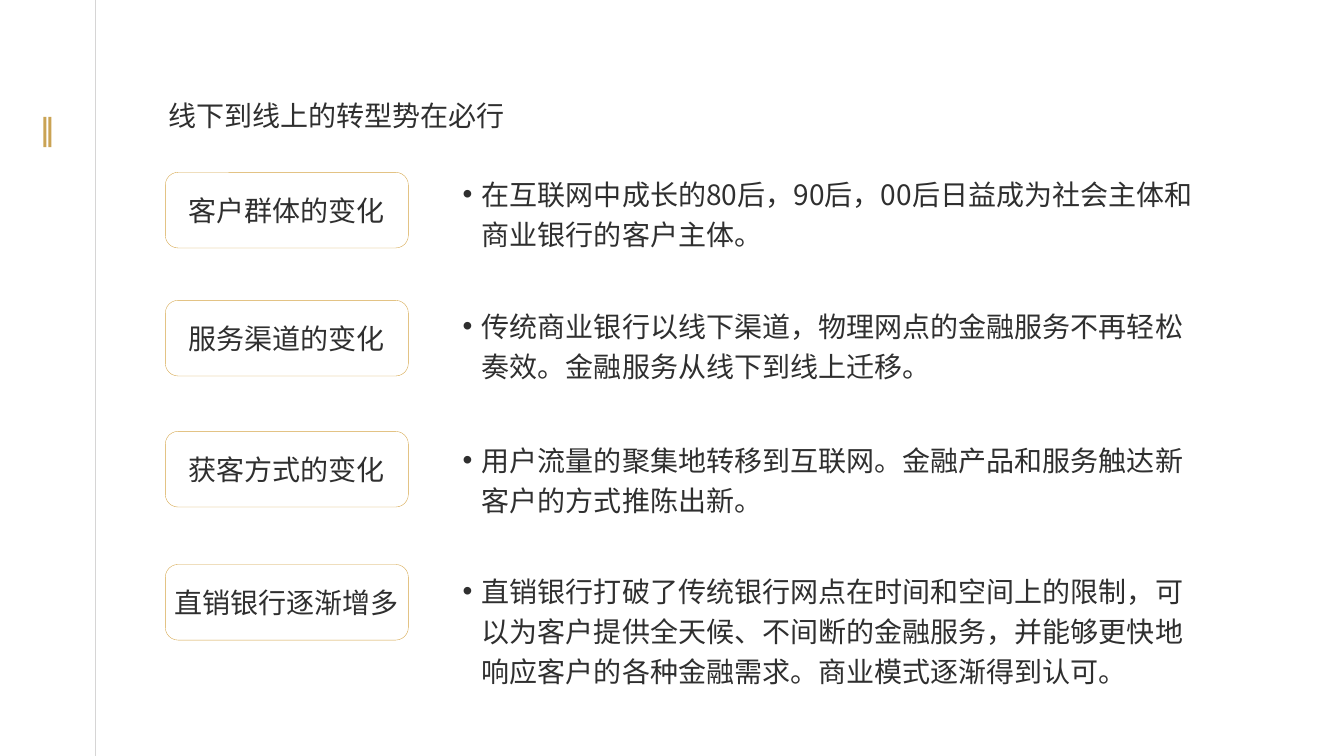
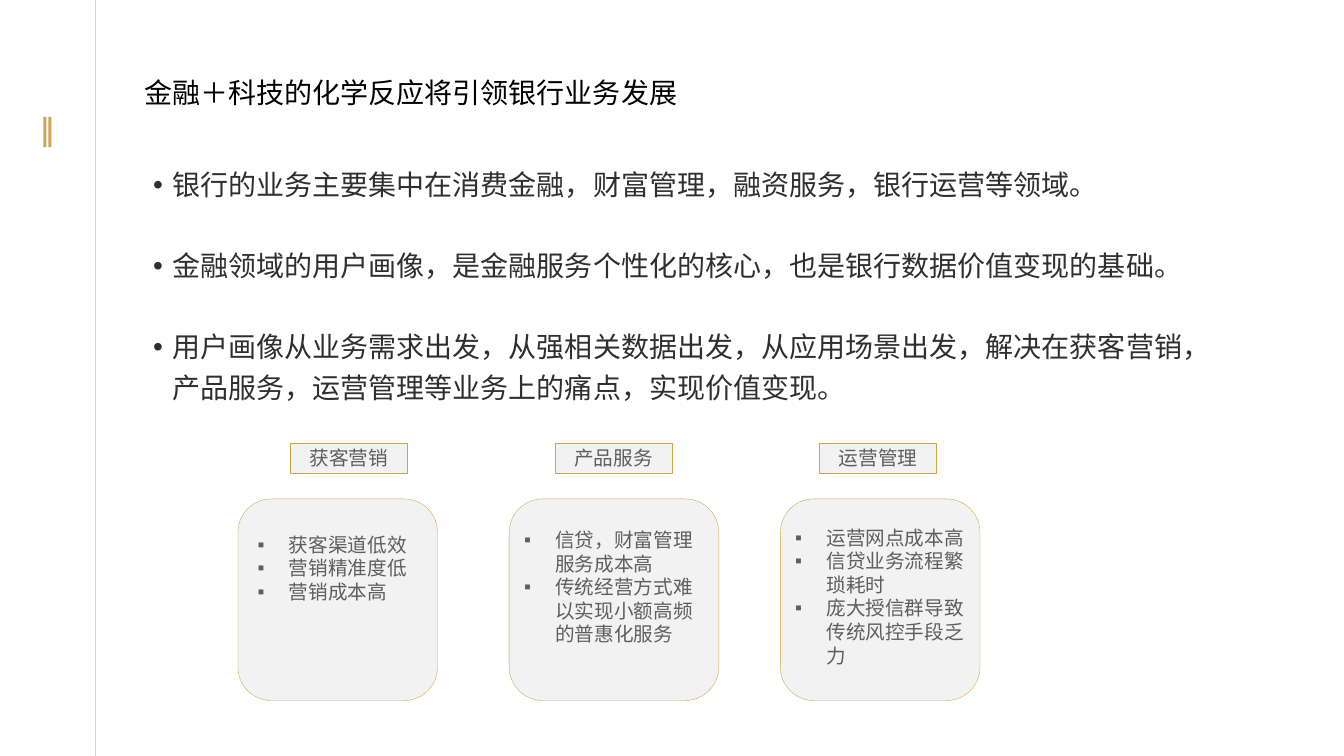
import pptx
import pptx.util
from lxml import etree
from pptx.dml.color import RGBColor
from pptx.enum.shapes import MSO_CONNECTOR, MSO_SHAPE
from pptx.enum.text import MSO_ANCHOR, PP_ALIGN
from pptx.oxml.ns import qn
from pptx.util import Inches, Pt

INK = RGBColor(0x2F, 0x2F, 0x2F)
BLACK = RGBColor(0x00, 0x00, 0x00)
GREY = RGBColor(0x5E, 0x5E, 0x5E)
RULE = RGBColor(0xD6, 0xD5, 0xD5)
BAR = RGBColor(0xCA, 0xA3, 0x54)
GOLD = RGBColor(0xD4, 0xA3, 0x44)
PALE = RGBColor(0xF2, 0xF2, 0xF2)

MAIN_FONT = "Noto Sans CJK SC"
TAG_FONT = "Arial"
CARD_FONT = "Montserrat"
TIGHT = (0.03, 0.03, 0.03, 0.03)
LOOSE = (0.1, 0.05, 0.1, 0.05)

# label, label top, explanation, explanation top
CHANGES = [
    ("客户群体的变化", 1.71,
     "在互联网中成长的80后，90后，00后日益成为社会主体和商业银行的客户主体。", 1.64),
    ("服务渠道的变化", 2.98,
     "传统商业银行以线下渠道，物理网点的金融服务不再轻松奏效。金融服务从线下到线上迁移。", 2.95),
    ("获客方式的变化", 4.28,
     "用户流量的聚集地转移到互联网。金融产品和服务触达新客户的方式推陈出新。", 4.28),
    ("直销银行逐渐增多", 5.6,
     "直销银行打破了传统银行网点在时间和空间上的限制，可以为客户提供全天候、不间断的金融服务，"
     "并能够更快地响应客户的各种金融需求。商业模式逐渐得到认可。", 5.58),
]

POINTS = [
    "银行的业务主要集中在消费金融，财富管理，融资服务，银行运营等领域。",
    "金融领域的用户画像，是金融服务个性化的核心，也是银行数据价值变现的基础。",
    "用户画像从业务需求出发，从强相关数据出发，从应用场景出发，解决在获客营销，产品服务，"
    "运营管理等业务上的痛点，实现价值变现。",
]

# tag, card width, left and top margins of the card text, card points
PAINS = [
    ("获客营销", 1.98, 0.1, 0.24, ["获客渠道低效", "营销精准度低", "营销成本高"]),
    ("产品服务", 2.08, 0.05, 0.19,
     ["信贷，财富管理服务成本高", "传统经营方式难以实现小额高频的普惠化服务"]),
    ("运营管理", 1.98, 0.05, 0.17,
     ["运营网点成本高", "信贷业务流程繁琐耗时", "庞大授信群导致传统风控手段乏力"]),
]


def add_bullet(para, mark, indent):
    properties = para._p.get_or_add_pPr()
    properties.set("marL", str(Inches(indent)))
    properties.set("indent", str(-Inches(indent)))
    etree.SubElement(properties, qn("a:buFont")).set("typeface", "Arial")
    etree.SubElement(properties, qn("a:buChar")).set("char", mark)


def write(shape, lines, size, font, color, margins=TIGHT, anchor=MSO_ANCHOR.MIDDLE,
          align=PP_ALIGN.LEFT, spacing=None, gap=0, bullet=None, wrap=True):
    """Fill a shape with one paragraph per line; bullet is (mark, indent)."""
    frame = shape.text_frame
    frame.word_wrap = wrap
    frame.vertical_anchor = anchor
    (frame.margin_left, frame.margin_top,
     frame.margin_right, frame.margin_bottom) = map(Inches, margins)
    frame.text = "\n".join(lines)
    for number, para in enumerate(frame.paragraphs):
        para.alignment = align
        if spacing:
            para.line_spacing = spacing
        if gap and number:
            para.space_before = Pt(gap)
        if bullet:
            add_bullet(para, *bullet)
        for span in para.runs:
            span.font.size = Pt(size)
            span.font.name = font
            span.font.color.rgb = color


def add_box(page, kind, left, top, width, height, fill=None, line=None):
    box = page.shapes.add_shape(kind, *map(Inches, (left, top, width, height)))
    box.shadow.inherit = False
    if fill is None:
        box.fill.background()
    else:
        box.fill.solid()
        box.fill.fore_color.rgb = fill
    if line is None:
        box.line.fill.background()
    else:
        box.line.color.rgb = line
        box.line.width = Pt(0.25)
    return box


def add_text(page, left, top, width, height, lines, **style):
    box = page.shapes.add_textbox(*map(Inches, (left, top, width, height)))
    write(box, lines, 20, MAIN_FONT, **style)


def add_body(page, left, top, width, height, lines, gap=0):
    add_text(page, left, top, width, height, lines, color=INK, margins=LOOSE,
             anchor=MSO_ANCHOR.TOP, spacing=1.2, gap=gap, bullet=("•", 0.19))


def add_page(deck):
    """Add a blank slide with the side rule and the double bar."""
    page = deck.slides.add_slide(deck.slide_layouts[6])
    rule = page.shapes.add_connector(
        MSO_CONNECTOR.STRAIGHT, Inches(0.95), deck.slide_height, Inches(0.95), 0)
    rule.line.color.rgb = RULE
    rule.line.width = Pt(0.75)
    etree.SubElement(rule._element.spPr, qn("a:effectLst"))
    for left in (0.43, 0.48):
        add_box(page, MSO_SHAPE.RECTANGLE, left, 1.16, 0.03, 0.3, fill=BAR)
    return page


def add_change(page, label, label_top, body, body_top):
    box = add_box(page, MSO_SHAPE.ROUNDED_RECTANGLE, 1.64, label_top, 2.41, 0.75, line=GOLD)
    write(box, [label], 20, MAIN_FONT, INK, margins=(0, 0, 0, 0), align=PP_ALIGN.CENTER)
    add_body(page, 4.49, body_top, 7.46, 0.91, [body])


def add_pain(page, column, tag, width, left_margin, top_margin, points):
    label = add_box(page, MSO_SHAPE.RECTANGLE, 2.88 + 2.625 * column, 4.4, 1.16, 0.29,
                    fill=PALE, line=GOLD)
    write(label, [tag], 14, TAG_FONT, GREY, align=PP_ALIGN.CENTER)
    card = add_box(page, MSO_SHAPE.ROUNDED_RECTANGLE, 2.36 + 2.69 * column, 4.95, width, 2,
                   fill=PALE, line=GOLD)
    write(card, points, 14, CARD_FONT, GREY, margins=(left_margin, top_margin, 0.05, 0.03),
          anchor=MSO_ANCHOR.TOP, bullet=("▪", 0.31))


def build_changes(deck):
    page = add_page(deck)
    add_text(page, 1.64, 0.88, 3.46, 0.46, ["线下到线上的转型势在必行"],
             color=INK, spacing=1.2, wrap=False)
    for change in CHANGES:
        add_change(page, *change)


def build_pains(deck):
    page = add_page(deck)
    add_text(page, 1.4, 0.72, 5.39, 0.4, ["金融＋科技的化学反应将引领银行业务发展"],
             color=BLACK, wrap=False)
    add_body(page, 1.42, 1.55, 10.51, 2.52, POINTS, gap=29)
    for column, pain in enumerate(PAINS):
        add_pain(page, column, *pain)


def main():
    deck = pptx.Presentation()
    deck.slide_width = Inches(13.33)
    deck.slide_height = Inches(7.5)
    build_changes(deck)
    build_pains(deck)
    deck.save("out.pptx")


if __name__ == "__main__":
    main()
